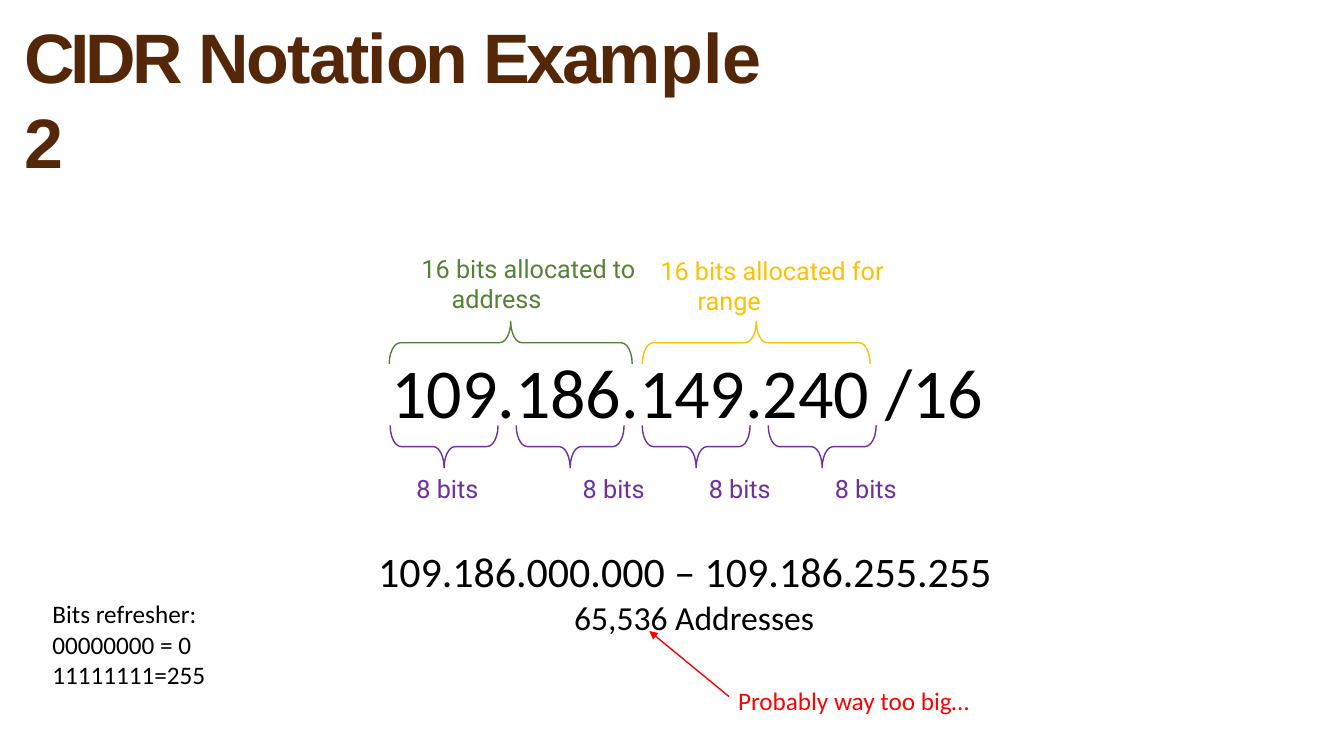
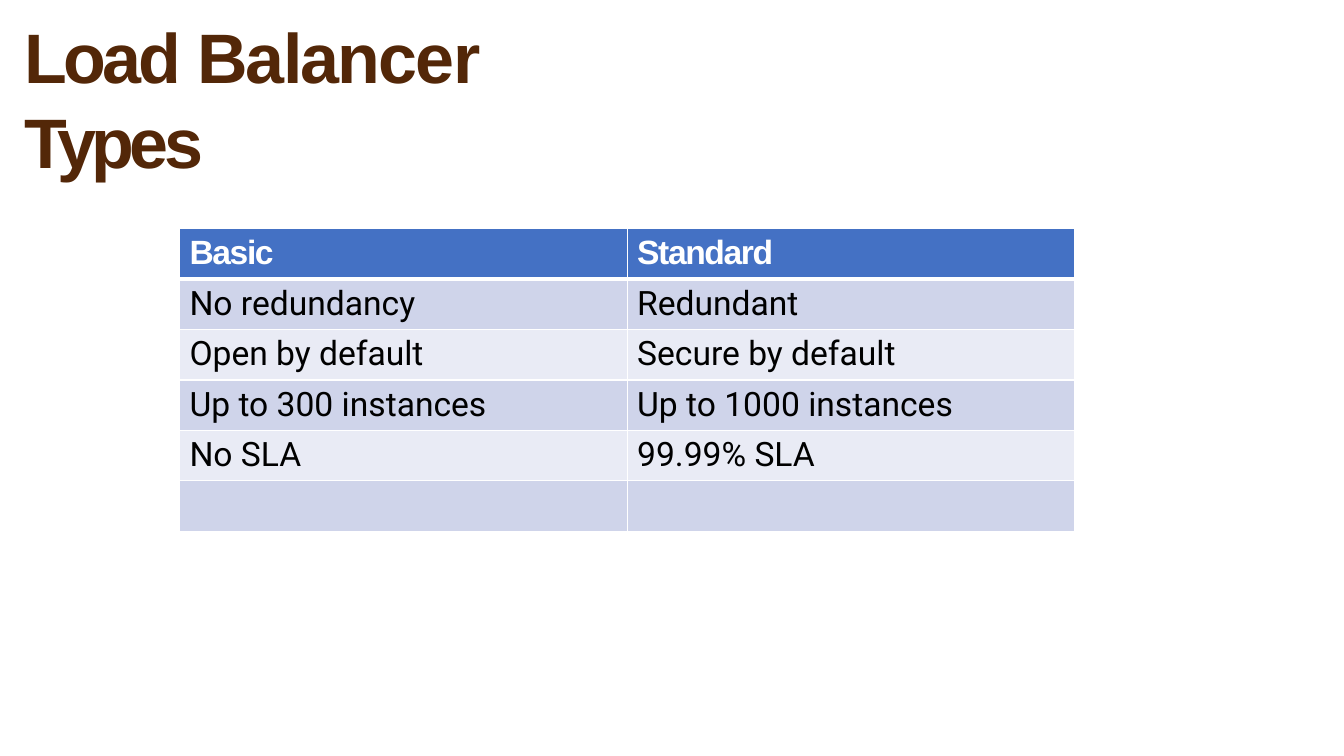
"""Build two slides on CIDR notation and load balancer types."""
from dataclasses import dataclass
from typing import NamedTuple

from lxml.etree import SubElement
from pptx import Presentation
from pptx.dml.color import RGBColor
from pptx.enum.shapes import MSO_CONNECTOR as Connector, MSO_SHAPE as Shape
from pptx.enum.text import PP_ALIGN as Align
from pptx.oxml.ns import qn
from pptx.slide import Slide
from pptx.table import _Cell as Cell
from pptx.text.text import _Paragraph as Paragraph
from pptx.util import Inches, Pt


@dataclass(frozen=True)
class Theme:
    title: str = "532708"
    ink: str = "000000"
    white: str = "FFFFFF"
    network: str = "538235"
    hosts: str = "FFC000"
    octet: str = "6F2F9F"
    warning: str = "FF0000"
    header: str = "4471C4"
    bands: tuple[str, str] = ("CFD4EA", "E9EBF5")
    heading_font: str = "Arial"
    body_font: str = "Calibri"
    label_font: str = "Roboto"
    title_size: float = 50
    title_leading: float = 60.5
    address_size: float = 50
    range_size: float = 30
    table_size: float = 24
    note_size: float = 18


THEME = Theme()


class Style(NamedTuple):
    font: str
    size: float
    color: str
    bold: bool = False


class Span(NamedTuple):
    text: str
    spacing: float = 0


class Caption(NamedTuple):
    left: float
    top: float
    width: float
    lines: tuple[str, ...]
    style: Style
    hanging: float = 0
    align: Align = Align.LEFT


class Brace(NamedTuple):
    left: float
    top: float
    width: float
    color: str
    points_up: bool


TITLE = Style(THEME.heading_font, THEME.title_size, THEME.title, True)
ADDRESS = Style(THEME.body_font, THEME.address_size, THEME.ink)
RANGE = Style(THEME.body_font, THEME.range_size, THEME.ink)
COUNT = Style(THEME.body_font, THEME.table_size, THEME.ink)
NOTE = Style(THEME.body_font, THEME.note_size, THEME.ink)
WARNING = NOTE._replace(color=THEME.warning)
NETWORK = Style(THEME.label_font, THEME.note_size, THEME.network)
HOSTS = NETWORK._replace(color=THEME.hosts)
OCTET = NETWORK._replace(color=THEME.octet)
HEADER = Style(THEME.heading_font, THEME.table_size, THEME.white, True)
ENTRY = Style(THEME.label_font, THEME.table_size, THEME.ink)

BRACE_DEPTH = 0.42
BRACE_CURVE = 0.26
OCTET_LEFT, OCTET_PITCH, OCTET_WIDTH = 3.87, 1.25, 1.07
OCTET_LABELS = (4.13, 5.78, 7.03, 8.28)

CIDR_TITLE = (
    (Span("CIDR ", -3), Span("Notati", -1.4), Span("on ", -3),
     Span("Exam", -2.4), Span("p", -2), Span("le", -0.2)),
    (Span("2", -2),),
)
BALANCER_TITLE = (
    (Span("Load ", -2.5), Span("Balancer", -1.3)),
    (Span("Types", -3.3),),
)

BRACES = (
    Brace(3.86, 3.19, 2.41, THEME.network, True),
    Brace(6.37, 3.19, 2.26, THEME.hosts, True),
    *(Brace(OCTET_LEFT + i * OCTET_PITCH, 4.22, OCTET_WIDTH, THEME.octet, False)
      for i in range(len(OCTET_LABELS))),
)

CAPTIONS = (
    Caption(4.18, 2.51, 2.32, ("16 bits allocated to address",), NETWORK, 0.3),
    Caption(6.55, 2.53, 2.5, ("16 bits allocated for range",), HOSTS, 0.37),
    Caption(3.88, 3.46, 6.5, ("109.186.149.240 /16",), ADDRESS),
    *(Caption(left, 4.7, 1, ("8 bits",), OCTET) for left in OCTET_LABELS),
    Caption(3.75, 5.41, 6.5, ("109.186.000.000 – 109.186.255.255",), RANGE),
    Caption(3.91, 5.92, 5.95, ("65,536 Addresses",), COUNT, align=Align.CENTER),
    Caption(0.52, 5.94, 2, ("Bits refresher:", "00000000 = 0", "11111111=255"), NOTE),
    Caption(7.32, 6.8, 2.6, ("Probably way too big…",), WARNING),
)

BALANCERS = (
    ("Basic", "Standard"),
    ("No redundancy", "Redundant"),
    ("Open by default", "Secure by default"),
    ("Up to 300 instances", "Up to 1000 instances"),
    ("No SLA", "99.99% SLA"),
    ("", ""),
)


def apply_style(paragraph: Paragraph, style: Style) -> None:
    font = paragraph.font
    font.name, font.size, font.bold = style.font, Pt(style.size), style.bold
    font.color.rgb = RGBColor.from_string(style.color)


def add_span(paragraph: Paragraph, span: Span) -> None:
    run = paragraph.add_run()
    run.text = span.text
    if span.spacing:
        run._r.get_or_add_rPr().set("spc", str(round(span.spacing * 100)))


def add_frame(slide: Slide, left: float, top: float, width: float, height: float):
    frame = slide.shapes.add_textbox(
        Inches(left), Inches(top), Inches(width), Inches(height)).text_frame
    frame.word_wrap = True
    frame.margin_left = frame.margin_top = frame.margin_right = frame.margin_bottom = 0
    return frame


def add_title(slide: Slide, lines: tuple[tuple[Span, ...], ...]) -> None:
    paragraph = add_frame(slide, 0.24, 0.13, 8.22, 1.68).paragraphs[0]
    apply_style(paragraph, TITLE)
    paragraph.line_spacing = Pt(THEME.title_leading)
    for number, spans in enumerate(lines):
        if number:
            paragraph.add_line_break()
        for span in spans:
            add_span(paragraph, span)


def add_caption(slide: Slide, caption: Caption) -> None:
    height = len(caption.lines) * caption.style.size * 1.22 / 72
    frame = add_frame(slide, caption.left, caption.top, caption.width, height)
    frame.text = "\n".join(caption.lines)
    for paragraph in frame.paragraphs:
        apply_style(paragraph, caption.style)
        paragraph.alignment = caption.align
        if caption.hanging:
            properties = paragraph._p.get_or_add_pPr()
            properties.set("marL", str(Inches(caption.hanging)))
            properties.set("indent", str(-Inches(caption.hanging)))


def add_brace(slide: Slide, brace: Brace) -> None:
    shift = (brace.width - BRACE_DEPTH) / 2
    outline = slide.shapes.add_shape(
        Shape.LEFT_BRACE, Inches(brace.left + shift), Inches(brace.top - shift),
        Inches(BRACE_DEPTH), Inches(brace.width))
    outline.rotation = 90 if brace.points_up else 270
    outline.adjustments[0] = BRACE_CURVE
    outline.shadow.inherit = False
    outline.fill.background()
    outline.line.color.rgb = RGBColor.from_string(brace.color)
    outline.line.width = Pt(1)


def add_warning_arrow(slide: Slide) -> None:
    arrow = slide.shapes.add_connector(
        Connector.STRAIGHT, Inches(7.23), Inches(6.91), Inches(6.44), Inches(6.26))
    arrow.line.color.rgb = RGBColor.from_string(THEME.warning)
    arrow.line.width = Pt(1)
    SubElement(arrow.line._get_or_add_ln(), qn("a:tailEnd"), type="triangle")
    SubElement(arrow._element.spPr, qn("a:effectLst"))


def set_borders(cell: Cell, top: float, bottom: float) -> None:
    properties = cell._tc.get_or_add_tcPr()
    for side, width in (("L", 1), ("R", 1), ("T", top), ("B", bottom)):
        border = SubElement(properties, qn(f"a:ln{side}"), w=str(Pt(width)))
        SubElement(SubElement(border, qn("a:solidFill")), qn("a:srgbClr"), val=THEME.white)


def fill_cell(cell: Cell, text: str, row: int) -> None:
    set_borders(cell, 3 if row == 1 else 1, 3 if row == 0 else 1)
    color = THEME.bands[(row - 1) % 2] if row else THEME.header
    cell.fill.solid()
    cell.fill.fore_color.rgb = RGBColor.from_string(color)
    cell.margin_left, cell.margin_top = Inches(0.1), Inches(0.05)
    cell.margin_right = cell.margin_bottom = 0
    if text:
        paragraph = cell.text_frame.paragraphs[0]
        apply_style(paragraph, ENTRY if row else HEADER)
        add_span(paragraph, Span(text, 0 if row else -1))


def add_balancers(slide: Slide) -> None:
    table = slide.shapes.add_table(
        len(BALANCERS), len(BALANCERS[0]),
        Inches(1.78), Inches(2.27), Inches(8.88), Inches(3)).table
    for row, texts in enumerate(BALANCERS):
        for column, text in enumerate(texts):
            fill_cell(table.cell(row, column), text, row)


def main() -> None:
    deck = Presentation()
    deck.slide_width, deck.slide_height = Inches(13.33), Inches(7.5)
    blank = deck.slide_layouts[6]

    cidr = deck.slides.add_slide(blank)
    add_title(cidr, CIDR_TITLE)
    for brace in BRACES:
        add_brace(cidr, brace)
    for caption in CAPTIONS:
        add_caption(cidr, caption)
    add_warning_arrow(cidr)

    balancers = deck.slides.add_slide(blank)
    add_title(balancers, BALANCER_TITLE)
    add_balancers(balancers)

    deck.save("out.pptx")


if __name__ == "__main__":
    main()
